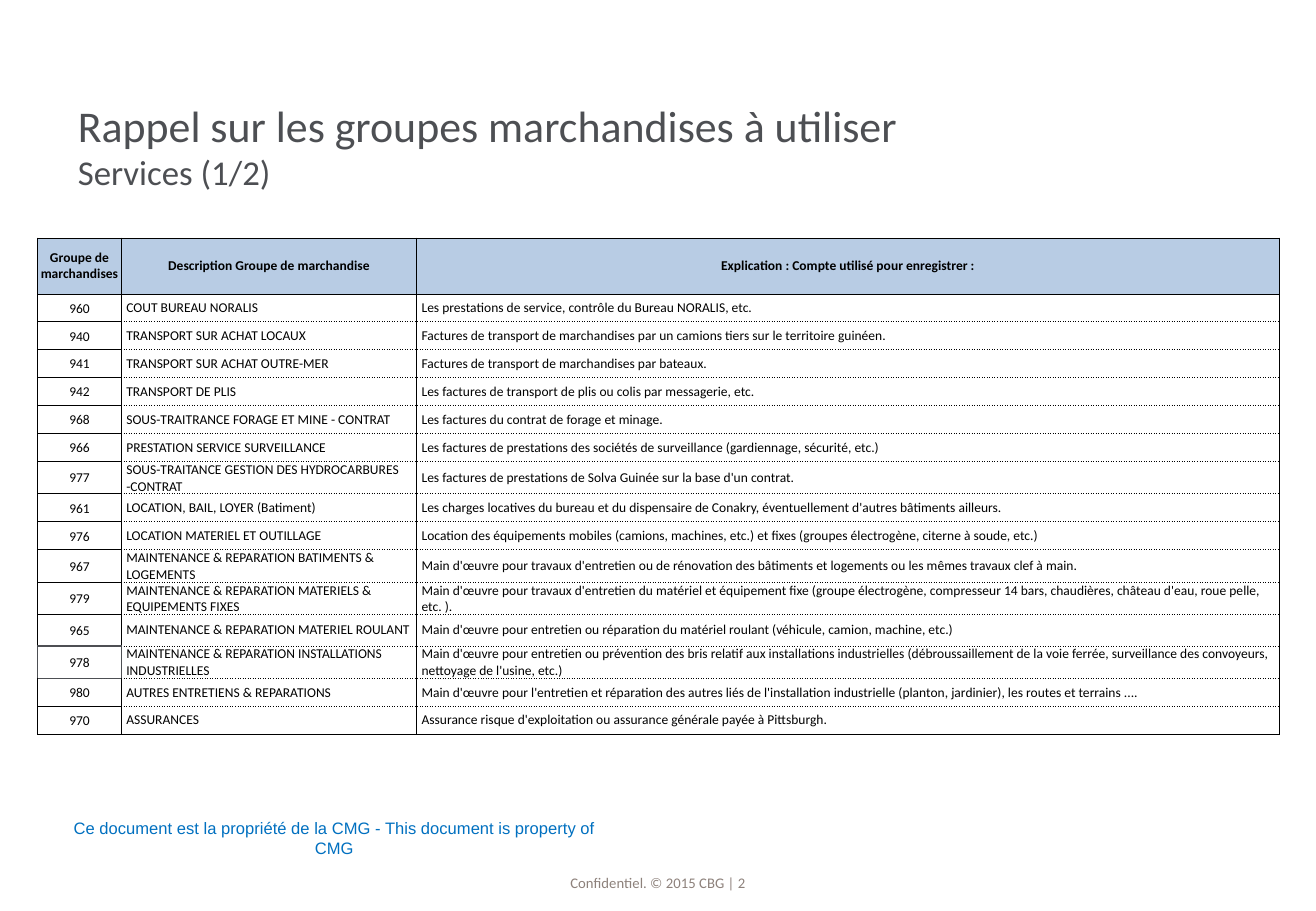
from lxml.etree import SubElement
from pptx import Presentation
from pptx.dml.color import RGBColor
from pptx.enum.text import MSO_ANCHOR, MSO_AUTO_SIZE, PP_ALIGN
from pptx.oxml.ns import qn
from pptx.util import Inches, Pt

BLACK = RGBColor(0x00, 0x00, 0x00)
WHITE = RGBColor(0xFF, 0xFF, 0xFF)
SLATE = RGBColor(0x4D, 0x4F, 0x53)
TAUPE = RGBColor(0x8D, 0x81, 0x7B)
BLUE = RGBColor(0x00, 0x70, 0xC0)
HEADER_BLUE = RGBColor(0xB8, 0xCC, 0xE4)

SOLID = (BLACK, 0.5, "solid")
DOTTED = (BLACK, 0.5, "sysDot")
ACCENT = (SLATE, 1, "solid")
ACCENT_CODE = "978"

HEADERS = [
    "Groupe de marchandises",
    "Description Groupe de marchandise",
    "Explication : Compte utilisé pour enregistrer :",
]
GROUPS = [
    ("960", "COUT BUREAU NORALIS", "Les prestations de service, contrôle du Bureau NORALIS, etc."),
    ("940", "TRANSPORT SUR ACHAT LOCAUX",
     "Factures de transport de marchandises par un camions tiers sur le territoire guinéen."),
    ("941", "TRANSPORT SUR ACHAT OUTRE-MER", "Factures de transport de marchandises par bateaux."),
    ("942", "TRANSPORT DE PLIS", "Les factures de transport de plis ou colis par messagerie, etc."),
    ("968", "SOUS-TRAITRANCE FORAGE ET MINE - CONTRAT", "Les factures du contrat de forage et minage."),
    ("966", "PRESTATION SERVICE SURVEILLANCE",
     "Les factures de prestations des sociétés de surveillance (gardiennage, sécurité, etc.)"),
    ("977", "SOUS-TRAITANCE GESTION DES HYDROCARBURES -CONTRAT",
     "Les factures de prestations de Solva Guinée sur la base d'un contrat."),
    ("961", "LOCATION, BAIL, LOYER (Batiment)",
     "Les charges locatives du bureau et du dispensaire de Conakry, éventuellement d'autres bâtiments ailleurs."),
    ("976", "LOCATION MATERIEL ET OUTILLAGE",
     "Location des équipements mobiles (camions, machines, etc.) et fixes "
     "(groupes électrogène, citerne à soude, etc.)"),
    ("967", "MAINTENANCE & REPARATION BATIMENTS & LOGEMENTS",
     "Main d'œuvre pour travaux d'entretien ou de rénovation des bâtiments et logements "
     "ou les mêmes travaux clef à main."),
    ("979", "MAINTENANCE & REPARATION MATERIELS & EQUIPEMENTS FIXES",
     "Main d'œuvre pour travaux d'entretien du matériel et équipement fixe (groupe électrogène, "
     "compresseur 14 bars, chaudières, château d'eau, roue pelle, etc. )."),
    ("965", "MAINTENANCE & REPARATION MATERIEL ROULANT",
     "Main d'œuvre pour entretien ou réparation du matériel roulant (véhicule, camion, machine, etc.)"),
    ("978", "MAINTENANCE & REPARATION INSTALLATIONS INDUSTRIELLES",
     "Main d'œuvre pour entretien ou prévention des bris relatif aux installations industrielles "
     "(débroussaillement de la voie ferrée, surveillance des convoyeurs, nettoyage de l'usine, etc.)"),
    ("980", "AUTRES ENTRETIENS & REPARATIONS",
     "Main d'œuvre pour l'entretien et réparation des autres liés de l'installation industrielle "
     "(planton, jardinier), les routes et terrains ...."),
    ("970", "ASSURANCES", "Assurance risque d'exploitation ou assurance générale payée à Pittsburgh."),
]
COLUMN_WIDTHS = [0.69, 2.43, 7.1]
HEADER_HEIGHT = 0.46
ROW_HEIGHT = 0.23
TALL_ROWS = {"977": 0.25, "967": 0.25, "979": 0.25, "965": 0.26, "978": 0.25}


def apply(target, values):
    for name, value in values.items():
        setattr(target, name, value)


def margins(left, top, right, bottom):
    return {
        "margin_left": Inches(left), "margin_top": Inches(top),
        "margin_right": Inches(right), "margin_bottom": Inches(bottom),
    }


class SlideBuilder:
    def __init__(self, presentation):
        self.slide = presentation.slides.add_slide(presentation.slide_layouts[5])
        self.font_name = "Calibri"

    def style(self, font, size, color, **values):
        apply(font, {"name": self.font_name, "size": Pt(size), "bold": False, **values})
        font.color.rgb = color

    def title(self, box, lines):
        title = self.slide.shapes.title
        apply(title, dict(zip(("left", "top", "width", "height"), map(Inches, box))))
        apply(title.text_frame, {
            "auto_size": MSO_AUTO_SIZE.NONE, "word_wrap": True,
            "vertical_anchor": MSO_ANCHOR.MIDDLE, **margins(0.1, 0.05, 0.1, 0.05),
        })
        paragraph = title.text_frame.paragraphs[0]
        paragraph.alignment = PP_ALIGN.LEFT
        for index, (text, size) in enumerate(lines):
            if index:
                paragraph.add_line_break()
            run = paragraph.add_run()
            run.text = text
            self.style(run.font, size, SLATE)

    def text(self, box, text, size, color, frame_format, **font_format):
        shape = self.slide.shapes.add_textbox(*map(Inches, box))
        apply(shape.text_frame, {"word_wrap": True, **frame_format})
        paragraph = shape.text_frame.paragraphs[0]
        paragraph.text = text
        paragraph.alignment = PP_ALIGN.CENTER
        self.style(paragraph.font, size, color, **font_format)

    def borders(self, cell, edges):
        properties = cell._tc.get_or_add_tcPr()
        for side, (color, width, dash) in zip("LRTB", edges):
            line = SubElement(properties, qn(f"a:ln{side}"), w=str(Pt(width)))
            fill = SubElement(line, qn("a:solidFill"))
            SubElement(fill, qn("a:srgbClr"), val=str(color))
            SubElement(line, qn("a:prstDash"), val=dash)

    def cell(self, cell, text, edges, fill, alignment, cell_margins, bold=False):
        self.borders(cell, edges)
        cell.fill.solid()
        cell.fill.fore_color.rgb = fill
        apply(cell, {"text": text, "vertical_anchor": MSO_ANCHOR.MIDDLE, **cell_margins})
        paragraph = cell.text_frame.paragraphs[0]
        paragraph.alignment = alignment
        self.style(paragraph.font, 8, BLACK, bold=bold)

    def body_edges(self, row, column):
        codes = [group[0] for group in GROUPS]
        accented = codes.index(ACCENT_CODE)
        if column == 0:
            side = ACCENT if row == accented else SOLID
            top = ACCENT if row in (accented, accented + 1) else SOLID
            bottom = ACCENT if row in (accented - 1, accented) else SOLID
            return side, side, top, bottom
        left = ACCENT if (row, column) == (accented, 1) else SOLID
        top = SOLID if row == 0 else DOTTED
        bottom = SOLID if row == len(GROUPS) - 1 else DOTTED
        return left, SOLID, top, bottom

    def table(self, left, top):
        heights = [HEADER_HEIGHT] + [TALL_ROWS.get(group[0], ROW_HEIGHT) for group in GROUPS]
        table = self.slide.shapes.add_table(
            len(heights), len(COLUMN_WIDTHS), Inches(left), Inches(top),
            Inches(sum(COLUMN_WIDTHS)), Inches(sum(heights))).table
        apply(table, {"first_row": False, "horz_banding": False})
        for column, width in zip(table.columns, COLUMN_WIDTHS):
            column.width = Inches(width)
        for row, height in zip(table.rows, heights):
            row.height = Inches(height)
        for column, text in enumerate(HEADERS):
            self.cell(table.cell(0, column), text, [SOLID] * 4, HEADER_BLUE,
                      PP_ALIGN.CENTER, margins(0, 0, 0, 0), bold=True)
        code_style = (PP_ALIGN.CENTER, margins(0.01, 0.01, 0.01, 0))
        label_style = (PP_ALIGN.LEFT, margins(0.04, 0, 0.04, 0))
        for row, group in enumerate(GROUPS):
            for column, text in enumerate(group):
                self.cell(table.cell(row + 1, column), text, self.body_edges(row, column),
                          WHITE, *(label_style if column else code_style))


def main():
    presentation = Presentation()
    apply(presentation, {"slide_width": Inches(10.83), "slide_height": Inches(7.5)})
    builder = SlideBuilder(presentation)
    builder.text((3.68, 7.11, 3.47, 0.23), "Confidentiel. © 2015 CBG | 2", 8.7, TAUPE,
                 {"vertical_anchor": MSO_ANCHOR.BOTTOM, **margins(0, 0, 0, 0)})
    builder.text((0.34, 6.74, 4.82, 0.32),
                 "Ce document est la propriété de la CMG - This document is property of CMG",
                 9.8, BLUE,
                 {"vertical_anchor": MSO_ANCHOR.MIDDLE, **margins(0.11, 0.05, 0.11, 0.05)},
                 name="Arial")
    builder.title((0.54, 0.69, 9.75, 1.02),
                  [("Rappel sur les groupes marchandises à utiliser", 26), ("Services (1/2)", 20.6)])
    builder.table(0.31, 1.96)
    presentation.save("out.pptx")


if __name__ == "__main__":
    main()
